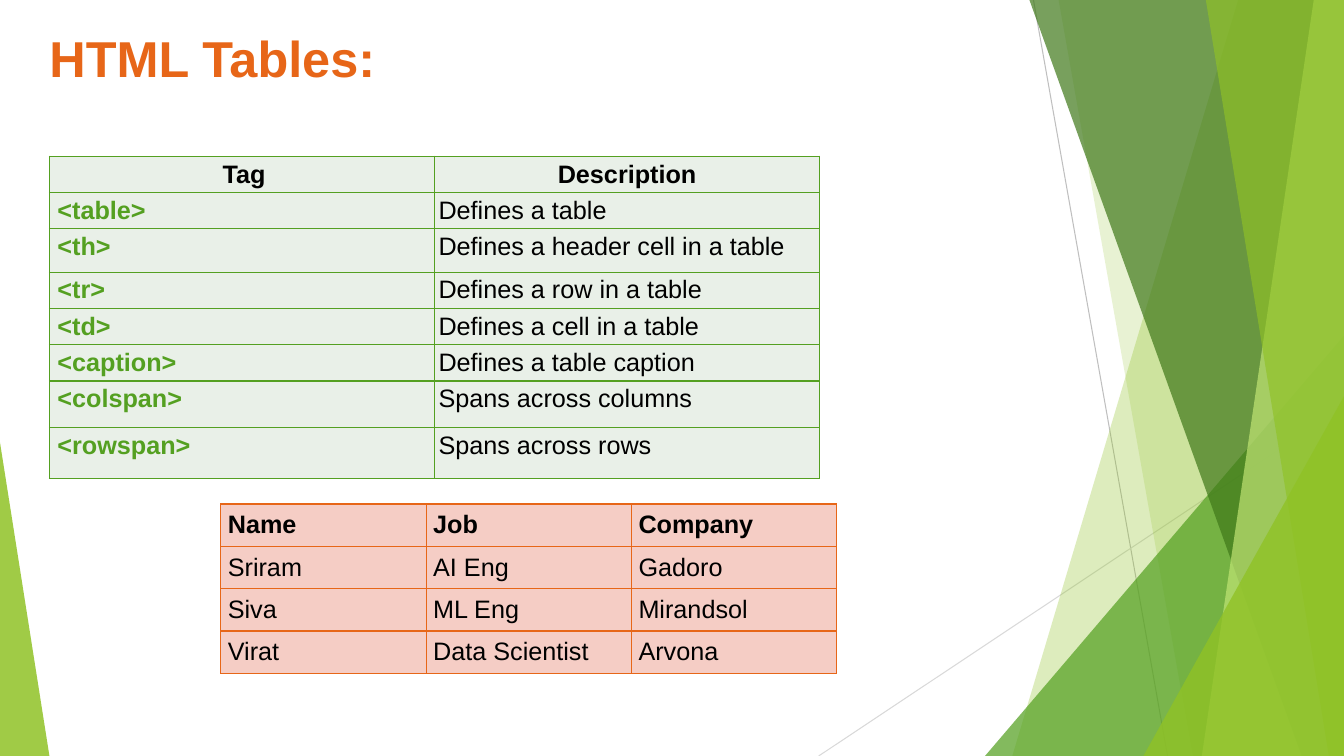
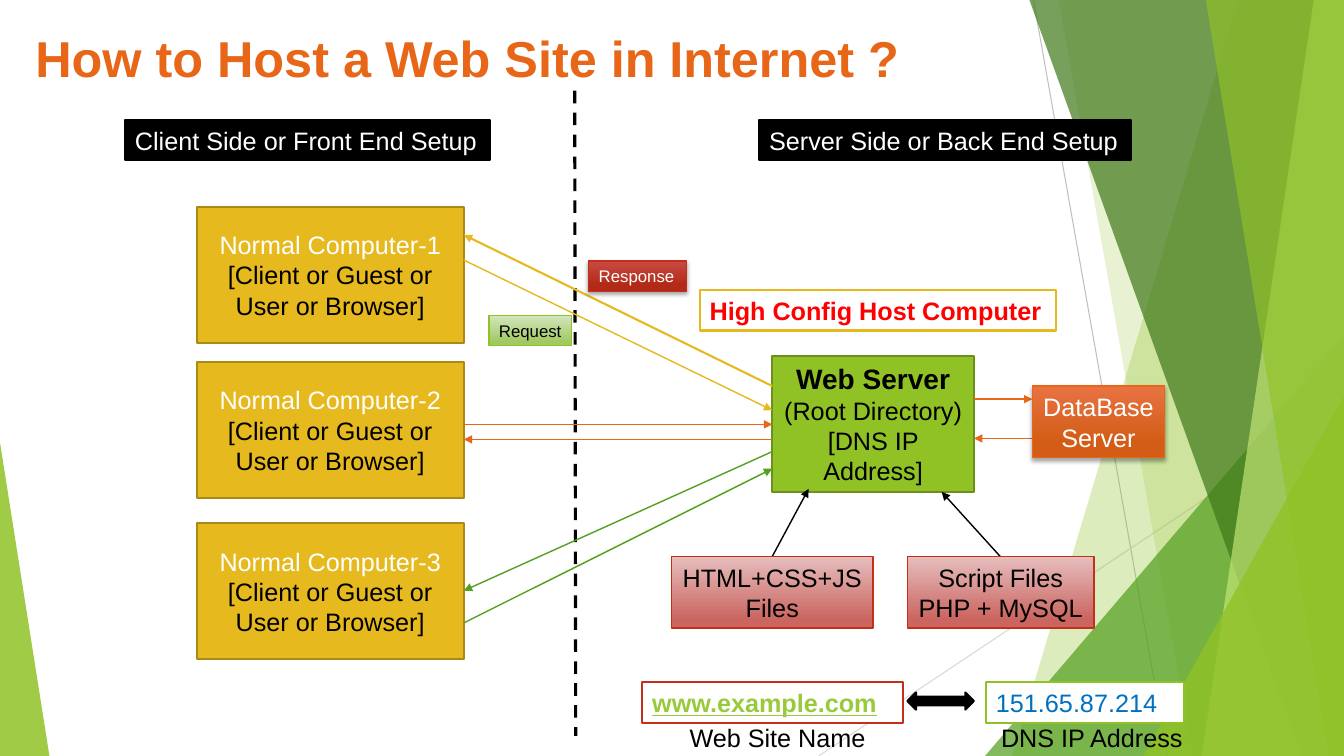
from dataclasses import dataclass

from lxml import etree
from pptx import Presentation
from pptx import util as u
from pptx.dml.color import RGBColor
from pptx.enum import dml, shapes, text
from pptx.oxml import parse_xml
from pptx.oxml.ns import nsdecls, qn


@dataclass(frozen=True)
class Theme:
    font: str = "Arial"
    title: int = 36
    lead: int = 20
    body: int = 18
    small: int = 12
    black: str = "000000"
    white: str = "FFFFFF"
    orange: str = "E76618"
    lime: str = "90C226"
    lime_edge: str = "6B901C"
    green: str = "54A021"
    forest: str = "3F7819"
    pale_lime: str = "C0E474"
    gold: str = "E6B91E"
    gold_edge: str = "AA8916"
    red: str = "C42F1A"
    bright_red: str = "FF0000"
    blue: str = "0070C0"
    link: str = "99CA3C"
    mint: str = "E9F0E8"
    blush: str = "F5CDC5"
    rose_fade: tuple = ((0, "E6BFBE"), (88, "CB6560"))
    lime_fade: tuple = ((0, "D3E5BE"), (88, "A0C962"))
    orange_fade: tuple = ((0, "E87242"), (78, "D35D16"))
    red_fade: tuple = ((0, "C74B42"), (78, "B32B18"))


T = Theme()
WIDTH, HEIGHT = 13.33, 7.5
CENTER = text.PP_ALIGN.CENTER

# Backdrop: thin rays, then facets from back to front.
RAYS = [((10.25, 0), (11.58, HEIGHT), "BFBFBF"), ((WIDTH, 4.03), (8.12, HEIGHT), "D9D9D9")]
FACETS = [  # strips: top x, bottom x; triangles: left, top, width, apex
    ((12.28, 10.04), T.lime, 30),
    ((10.5, 11.83), T.lime, 20),
    ((9.77, 3.33, 3.56, 1), T.green, 72),
    ((10.21, 12.91), T.forest, 70),
    ((13.03, 11.92), T.pale_lime, 70),
    ((11.96, 13.18), T.lime, 65),
    ((11.34, 3.93, 1.99, 1), T.lime, 80),
    ((0, 4.39, 0.49, 0), T.lime, 85),
]

TAGS = [
    ("Tag", "Description"),
    ("<table>", "Defines a table"),
    ("<th>", "Defines a header cell in a table"),
    ("<tr>", "Defines a row in a table"),
    ("<td>", "Defines a cell in a table"),
    ("<caption>", "Defines a table caption"),
    ("<colspan>", "Spans across columns"),
    ("<rowspan>", "Spans across rows"),
]
TAG_ROWS = [0.36, 0.36, 0.43, 0.36, 0.36, 0.36, 0.46, 0.51]
STAFF = [
    ("Name", "Job", "Company"),
    ("Sriram", "AI Eng", "Gadoro"),
    ("Siva", "ML Eng", "Mirandsol"),
    ("Virat", "Data Scientist", "Arvona"),
]

CLIENT_TOPS = (2.05, 3.59, 5.19)
CLIENT_ROLE = "[Client or Guest or User or Browser]"
CLIENT_EDGE, SERVER_EDGE, SERVER_RIGHT, DATABASE_EDGE = 4.6, 7.66, 9.66, 10.24
ARROWS = [
    ((CLIENT_EDGE, 2.58), (SERVER_EDGE, 4.07), T.gold, 1),
    ((SERVER_EDGE, 3.83), (CLIENT_EDGE, 2.33), T.gold, 1.5),
    ((CLIENT_EDGE, 4.21), (SERVER_EDGE, 4.21), T.orange, 1),
    ((SERVER_EDGE, 4.36), (CLIENT_EDGE, 4.36), T.orange, 1),
    ((CLIENT_EDGE, 6.18), (SERVER_EDGE, 4.65), T.green, 1),
    ((SERVER_EDGE, 4.48), (CLIENT_EDGE, 5.86), T.green, 1),
    ((SERVER_EDGE, 5.52), (8.02, 4.85), T.black, 1),
    ((9.92, 5.52), (9.34, 4.88), T.black, 1),
    ((SERVER_RIGHT, 3.96), (DATABASE_EDGE, 3.96), T.orange, 1),
    ((DATABASE_EDGE, 4.35), (SERVER_RIGHT, 4.35), T.orange, 1),
]
PAIRS = [  # two centred lines: lines, place, fill, edge, text colour, shadow
    (["HTML+CSS+JS", "Files"], (6.66, 5.52, 2, 0.71), T.rose_fade, T.red, T.black, False),
    (["Script Files", "PHP + MySQL"], (9, 5.52, 1.85, 0.71), T.rose_fade, T.red, T.black, False),
    (["DataBase", "Server"], (DATABASE_EDGE, 3.83, 1.31, 0.71), T.orange_fade, T.orange, T.white, True),
]
LABELS = [  # words, place, fill, edge, edge width, shadow, text format
    ("Client Side or Front End Setup", (1.24, 1.19, 3.62, 0.4), T.black, T.black, 1.5, False,
     {"color": T.white}),
    ("Server Side or Back End Setup", (7.53, 1.19, 3.69, 0.4), T.black, T.black, 1.5, False,
     {"color": T.white}),
    ("High Config Host Computer", (6.94, 2.88, 3.53, 0.4), T.white, T.gold, 1.5, False,
     {"color": T.bright_red, "bold": True}),
    ("Request", (4.85, 3.13, 0.82, 0.3), T.lime_fade, T.lime, 1, False, {"size": T.small}),
    ("Response", (5.84, 2.59, 0.97, 0.3), T.red_fade, T.red, 1, True,
     {"size": T.small, "color": T.white}),
    ("www.example.com", (6.37, 6.77, 2.59, 0.4), T.white, T.red, 1.5, False,
     {"color": T.link, "bold": True, "underline": True}),
    ("151.65.87.214", (9.78, 6.77, 1.96, 0.4), T.white, T.lime, 1.5, False, {"color": T.blue}),
]
CAPTIONS = [("Web Site Name", 6.74), ("DNS IP Address", 9.83)]


def inches(values):
    return [u.Inches(value) for value in values]


def rgb(color):
    return RGBColor.from_string(color)


def write(frame, lines, size=T.body, color=T.black, bold=False, underline=False, align=None,
          anchor=text.MSO_ANCHOR.MIDDLE, margins=(0.1, 0.05, 0.1, 0.05)):
    """Fill a frame; a line is a string or a (string, overriding format) pair."""
    frame.word_wrap = True
    frame.vertical_anchor = anchor
    frame.margin_left, frame.margin_top, frame.margin_right, frame.margin_bottom = inches(margins)
    for index, line in enumerate(lines):
        words, own = (line, {}) if isinstance(line, str) else line
        paragraph = frame.paragraphs[0] if index == 0 else frame.add_paragraph()
        paragraph.alignment = align
        run = paragraph.add_run()
        run.text = words
        run.font.name = T.font
        run.font.size = u.Pt(own.get("size", size))
        run.font.bold = own.get("bold", bold)
        run.font.underline = underline
        run.font.color.rgb = rgb(own.get("color", color))


def paint(shape, fill, edge=None, width=1.0, alpha=None, shadow=False):
    """Fill is a colour or a tuple of (percent, colour) stops running downwards."""
    shape.shadow.inherit = False
    if isinstance(fill, str):
        shape.fill.solid()
        shape.fill.fore_color.rgb = rgb(fill)
    else:
        shape.fill.gradient()
        shape.fill.gradient_angle = 270
        for stop, (percent, color) in zip(shape.fill.gradient_stops, fill):
            stop.position = percent / 100
            stop.color.rgb = rgb(color)
    if alpha is not None:
        tint = shape.element.spPr.find(qn("a:solidFill"))[0]
        etree.SubElement(tint, qn("a:alpha")).set("val", str(alpha * 1000))
    if edge:
        shape.line.color.rgb = rgb(edge)
        shape.line.width = u.Pt(width)
    else:
        shape.line.fill.background()
    if shadow:
        shape.element.spPr.find(qn("a:effectLst")).append(parse_xml(
            f'<a:outerShdw {nsdecls("a")} blurRad="38100" dist="25400" dir="5400000">'
            '<a:srgbClr val="000000"><a:alpha val="35000"/></a:srgbClr></a:outerShdw>'))


def add_box(slide, place, fill, edge=None, width=1.0, alpha=None, shadow=False,
            preset=shapes.MSO_SHAPE.RECTANGLE):
    box = slide.shapes.add_shape(preset, *inches(place))
    paint(box, fill, edge, width, alpha, shadow)
    return box


def add_line(slide, start, end, color, width=0.75, arrow=False, dashed=False):
    line = slide.shapes.add_connector(shapes.MSO_CONNECTOR.STRAIGHT, *inches(start + end))
    line.line.color.rgb = rgb(color)
    line.line.width = u.Pt(width)
    if dashed:
        line.line.dash_style = dml.MSO_LINE.DASH
    if arrow:
        etree.SubElement(line.line._get_or_add_ln(), qn("a:tailEnd")).set("type", "triangle")
    etree.SubElement(line.element.spPr, qn("a:effectLst"))


def add_backdrop(slide):
    """Draw the rays and facets, then move them to the layout all slides share."""
    before = len(slide.shapes)
    for start, end, color in RAYS:
        add_line(slide, start, end, color)
    for outline, color, alpha in FACETS:
        if len(outline) == 2:
            top, bottom = outline
            corners = [inches(point) for point in
                       ((top, 0), (WIDTH, 0), (WIDTH, HEIGHT), (bottom, HEIGHT))]
            builder = slide.shapes.build_freeform(*corners[0], scale=1.0)
            builder.add_line_segments(corners[1:], close=True)
            paint(builder.convert_to_shape(), color, alpha=alpha)
        else:
            left, top, width, apex = outline
            facet = add_box(slide, (left, top, width, HEIGHT - top), color, alpha=alpha,
                            preset=shapes.MSO_SHAPE.ISOSCELES_TRIANGLE)
            facet.adjustments[0] = apex
    tree = slide.slide_layout.shapes.element
    for index, part in enumerate(list(slide.shapes)[before:]):
        part.element.xpath(".//p:cNvPr")[0].set("id", str(100 + index))
        tree.insert(2 + index, part.element)


def set_title(slide, words, indent=0.1):
    title = slide.shapes.title
    title.left, title.top, title.width, title.height = inches((0.25, 0.18, 10.9, 0.87))
    write(title.text_frame, [words], size=T.title, color=T.orange, bold=True,
          align=text.PP_ALIGN.LEFT, anchor=text.MSO_ANCHOR.TOP, margins=(indent, 0.09, 0.1, 0.05))


def add_grid(slide, rows, left, top, width, heights, fill, edge, cell_format):
    """Draw a bordered table; cell_format gives write() arguments for (row, column)."""
    columns = len(rows[0])
    frame = slide.shapes.add_table(len(rows), columns, *inches((left, top, width, sum(heights))))
    for row, height in zip(frame.table.rows, heights):
        row.height = u.Inches(height)
    for r, words in enumerate(rows):
        for c, word in enumerate(words):
            cell = frame.table.cell(r, c)
            form = dict(cell_format(r, c))
            anchor, margins = form.pop("anchor"), form.pop("margins")
            write(cell.text_frame, [word], **form)
            cell.vertical_anchor = anchor
            (cell.margin_left, cell.margin_top,
             cell.margin_right, cell.margin_bottom) = inches(margins)
            cell.fill.solid()
            cell.fill.fore_color.rgb = rgb(fill)
            for index, side in enumerate(("lnL", "lnR", "lnT", "lnB")):
                cell._tc.get_or_add_tcPr().insert(index, parse_xml(
                    f'<a:{side} {nsdecls("a")} w="12700"><a:solidFill>'
                    f'<a:srgbClr val="{edge}"/></a:solidFill></a:{side}>'))


def tag_format(row, column):
    return {"bold": row == 0 or column == 0,
            "color": T.green if row and column == 0 else T.black,
            "align": CENTER if row == 0 else None,
            "anchor": text.MSO_ANCHOR.TOP,
            "margins": (0.04 if column else 0.08, 0.04, 0.04, 0.04)}


def staff_format(row, column):
    return {"bold": row == 0, "anchor": text.MSO_ANCHOR.MIDDLE, "margins": (0.07,) * 4}


def build_tables(slide):
    set_title(slide, "HTML Tables:", indent=0.24)
    add_grid(slide, TAGS, 0.49, 1.55, 7.64, TAG_ROWS, T.mint, T.green, tag_format)
    add_grid(slide, STAFF, 2.19, 5, 6.11, [0.41] * len(STAFF), T.blush, T.orange, staff_format)


def build_hosting(slide):
    set_title(slide, "How to Host a Web Site in Internet ?")
    server = add_box(slide, (SERVER_EDGE, 3.53, 2, 1.35), T.lime, T.lime_edge, 1.5)
    write(server.text_frame, [("Web Server", {"size": T.lead, "bold": True}),
                              "(Root Directory) [DNS IP Address]"], align=CENTER)
    for number, top in enumerate(CLIENT_TOPS, 1):
        client = add_box(slide, (1.95, top, 2.65, 1.35), T.gold, T.gold_edge, 1.5)
        write(client.text_frame, [(f"Normal Computer-{number}", {"color": T.white}), CLIENT_ROLE],
              align=CENTER)
    add_line(slide, (5.7, 0.9), (5.71, 7.3), T.black, 2.25, dashed=True)
    for start, end, color, width in ARROWS:
        add_line(slide, start, end, color, width, arrow=True)
    for lines, place, fill, edge, color, shadow in PAIRS:
        pair = add_box(slide, place, fill, edge, shadow=shadow)
        write(pair.text_frame, lines, color=color, align=CENTER, margins=(0.05,) * 4)
    for words, place, fill, edge, width, shadow, form in LABELS:
        label = add_box(slide, place, fill, edge, width, shadow=shadow)
        write(label.text_frame, [words], align=text.PP_ALIGN.LEFT, margins=(0.1, 0.05, 0, 0.05),
              **form)
    add_box(slide, (9, 6.87, 0.66, 0.17), T.black, T.black, 1.5,
            preset=shapes.MSO_SHAPE.LEFT_RIGHT_ARROW)
    for words, left in CAPTIONS:
        caption = slide.shapes.add_textbox(*inches((left, 7.12, 2.02, 0.4)))
        write(caption.text_frame, [words], margins=(0.1, 0.05, 0, 0.05))


def main():
    deck = Presentation()
    deck.slide_width, deck.slide_height = inches((WIDTH, HEIGHT))
    for index, build in enumerate((build_tables, build_hosting)):
        slide = deck.slides.add_slide(deck.slide_layouts[5])
        if index == 0:
            add_backdrop(slide)
        build(slide)
    deck.save("out.pptx")


if __name__ == "__main__":
    main()
